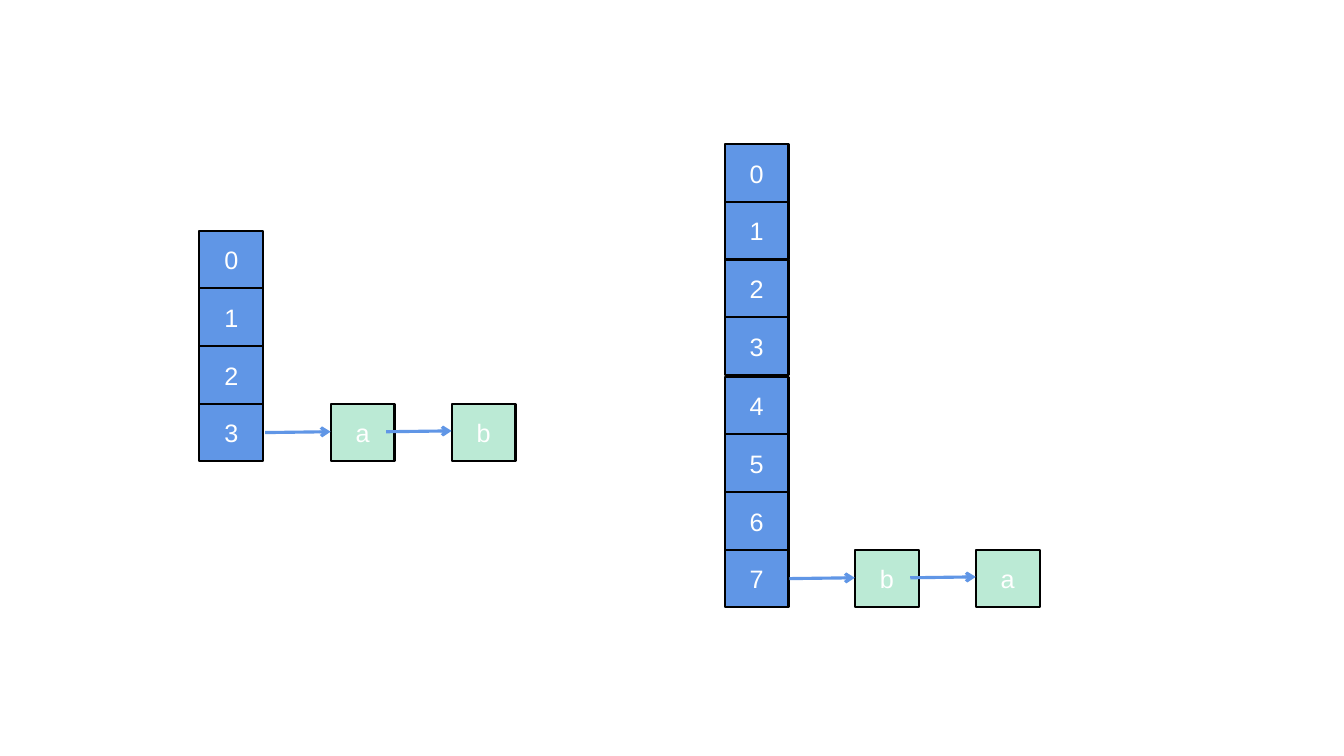
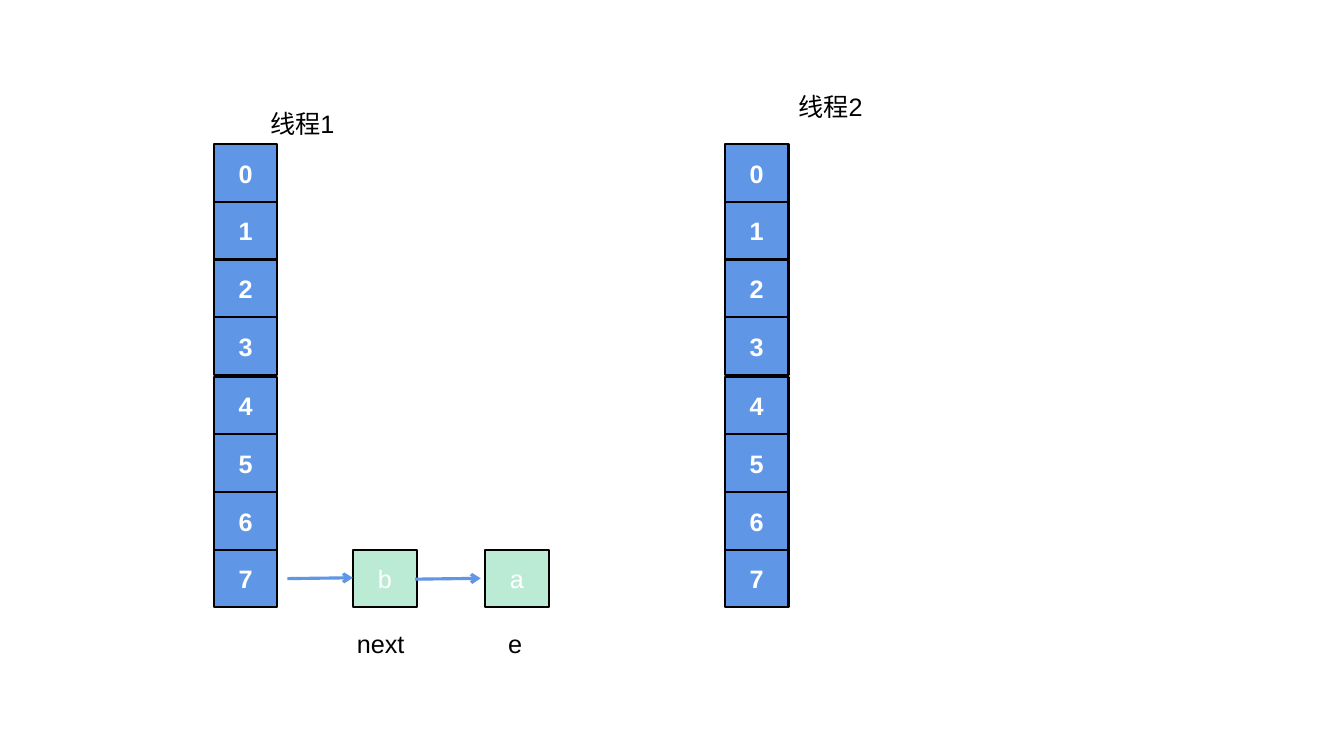
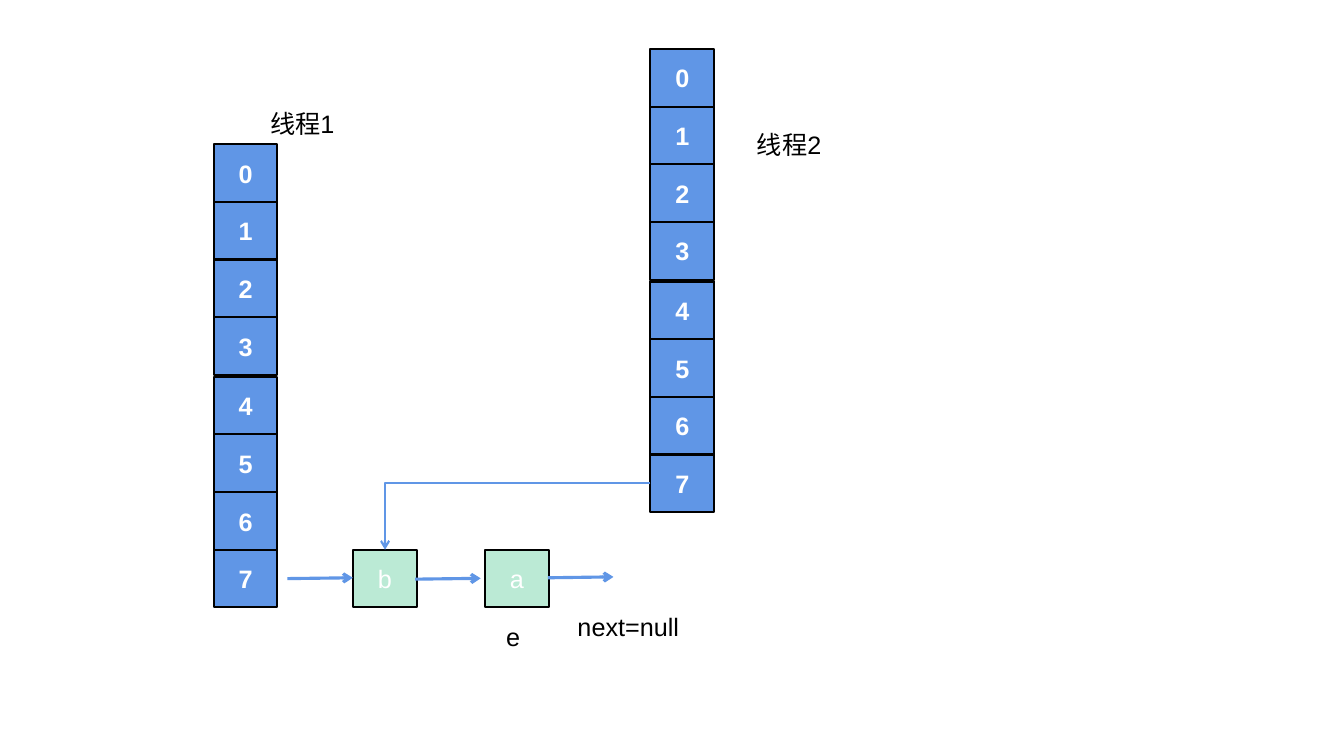
from dataclasses import dataclass

from lxml import etree
from pptx import Presentation
from pptx.dml.color import RGBColor
from pptx.enum.shapes import MSO_CONNECTOR, MSO_SHAPE
from pptx.enum.text import MSO_ANCHOR, MSO_AUTO_SIZE, PP_ALIGN
from pptx.oxml.ns import qn
from pptx.util import Pt

RECTANGLE = MSO_SHAPE.RECTANGLE
STRAIGHT, ELBOW = MSO_CONNECTOR.STRAIGHT, MSO_CONNECTOR.ELBOW
MIDDLE, CENTER = MSO_ANCHOR.MIDDLE, PP_ALIGN.CENTER
GROW = MSO_AUTO_SIZE.SHAPE_TO_FIT_TEXT
LEFT_SITE, TOP_SITE = 1, 0


@dataclass(frozen=True)
class Theme:
    bucket: RGBColor = RGBColor(0x60, 0x96, 0xE6)
    node: RGBColor = RGBColor(0xBB, 0xEA, 0xD5)
    outline: RGBColor = RGBColor(0, 0, 0)
    label: RGBColor = RGBColor(0, 0, 0)
    cell_text: RGBColor = RGBColor(0xFF, 0xFF, 0xFF)
    font: str = "Arial"
    size: float = 18
    thin: float = 1.5
    thick: float = 2.25


THEME = Theme()

# Geometry shared by all slides, in points
SLIDE_W, SLIDE_H = 960, 540
CELL_W, CELL_H = 45.6, 41.2
HALF_GAP = 1.3  # space between each group of four buckets
GROUP = 4
ARROW_RUN, ARROW_RISE = 46.8, 0.6
LABEL_H = 29

# Content: tables have buckets, a chain of (key, left) and arrows (left, lift)
THREAD_1 = {
    "left": 152.6, "top": 103, "buckets": 8, "bold": True,
    "chain": [("b", 252.2), ("a", 346.4)],
    "arrows": [(205.2, 0), (296.6, -0.4)],
}
THREAD_1_LABEL = ("线程1", 185.8, 74, 127.4)

SLIDES = [
    {
        "tables": [
            {"left": 142.4, "top": 164.8, "buckets": 4, "bold": False,
             "chain": [("a", 236.2), ("b", 322.6)],
             "arrows": [(189.4, 0), (275.8, 0.6)]},
            {"left": 517.6, "top": 103, "buckets": 8, "bold": False,
             "chain": [("b", 610.6), ("a", 697)],
             "arrows": [(563.8, 0), (650.2, 0.6)]},
        ],
        "labels": [],
    },
    {
        "tables": [
            {"left": 517.6, "top": 103, "buckets": 8, "bold": True,
             "chain": [], "arrows": []},
            THREAD_1,
        ],
        "labels": [
            THREAD_1_LABEL,
            ("线程2", 563.2, 62, 127.4),
            ("e", 355.8, 445, 29.6),
            ("next", 247.8, 445, 53.4),
        ],
    },
    {
        "tables": [
            {"left": 464.6, "top": 35, "buckets": 8, "bold": True,
             "chain": [], "arrows": []},
            {**THREAD_1, "arrows": THREAD_1["arrows"] + [(391.4, 0.6)]},
        ],
        "labels": [
            THREAD_1_LABEL,
            ("线程2", 533.6, 88.6, 127.4),
            ("e", 354.4, 440.6, 29.6),
            ("next=null", 405.4, 433.4, 104.4),
        ],
        "shared_head": True,  # last bucket of table 0 points at chain of table 1
    },
]


def write(frame, text, color, bold=False):
    run = frame.paragraphs[0].add_run()
    run.text = text
    for name, value in {"name": THEME.font, "size": Pt(THEME.size), "bold": bold}.items():
        setattr(run.font, name, value)
    run.font.color.rgb = color


def add_cell(slide, text, left, top, fill, bold=False):
    cell = slide.shapes.add_shape(RECTANGLE, Pt(left), Pt(top), Pt(CELL_W), Pt(CELL_H))
    cell.shadow.inherit = False
    cell.fill.solid()
    cell.fill.fore_color.rgb = fill
    cell.line.color.rgb = THEME.outline
    cell.line.width = Pt(THEME.thin)
    cell.text_frame.vertical_anchor = MIDDLE
    cell.text_frame.paragraphs[0].alignment = CENTER
    write(cell.text_frame, text, THEME.cell_text, bold)
    return cell


def add_label(slide, text, left, top, width):
    box = slide.shapes.add_textbox(Pt(left), Pt(top), Pt(width), Pt(LABEL_H))
    box.text_frame.word_wrap = True
    box.text_frame.auto_size = GROW
    write(box.text_frame, text, THEME.label)


def style_arrow(arrow, width):
    arrow.line.color.rgb = THEME.bucket
    arrow.line.width = Pt(width)
    etree.SubElement(arrow.line._get_or_add_ln(), qn("a:tailEnd"), type="arrow")
    etree.SubElement(arrow._element.spPr, qn("a:effectLst"))


def add_table_drawing(slide, table):
    """Draw one hash table; return its buckets and chain nodes."""
    tops = [table["top"] + i * CELL_H + i // GROUP * HALF_GAP
            for i in range(table["buckets"])]
    buckets = [add_cell(slide, str(i), table["left"], top, THEME.bucket, table["bold"])
               for i, top in enumerate(tops)]
    nodes = [add_cell(slide, key, left, tops[-1], THEME.node)
             for key, left in table["chain"]]
    for left, lift in table["arrows"]:
        y = tops[-1] + CELL_H / 2 - lift
        arrow = slide.shapes.add_connector(
            STRAIGHT, Pt(left), Pt(y), Pt(left + ARROW_RUN), Pt(y - ARROW_RISE))
        style_arrow(arrow, THEME.thick)
    return buckets, nodes


def add_elbow(slide, bucket, node):
    """Lead from the bucket's left side to the node's top with one bend."""
    elbow = slide.shapes.add_connector(ELBOW, 0, 0, 0, 0)
    elbow.begin_connect(bucket, LEFT_SITE)
    elbow.end_connect(node, TOP_SITE)
    properties = elbow._element.spPr
    properties.find(qn("a:prstGeom")).set("prst", "bentConnector2")
    # A half turn with a vertical flip runs left first, then down
    frame = properties.find(qn("a:xfrm"))
    frame.attrib.clear()
    for name, value in {"rot": "10800000", "flipV": "1"}.items():
        frame.set(name, value)
    style_arrow(elbow, THEME.thin)


def main():
    deck = Presentation()
    deck.slide_width, deck.slide_height = Pt(SLIDE_W), Pt(SLIDE_H)
    blank = deck.slide_layouts[6]
    for content in SLIDES:
        slide = deck.slides.add_slide(blank)
        drawn = [add_table_drawing(slide, table) for table in content["tables"]]
        for label in content["labels"]:
            add_label(slide, *label)
        if content.get("shared_head"):
            (buckets, _), (_, nodes) = drawn
            add_elbow(slide, buckets[-1], nodes[0])
    deck.save("out.pptx")


if __name__ == "__main__":
    main()
